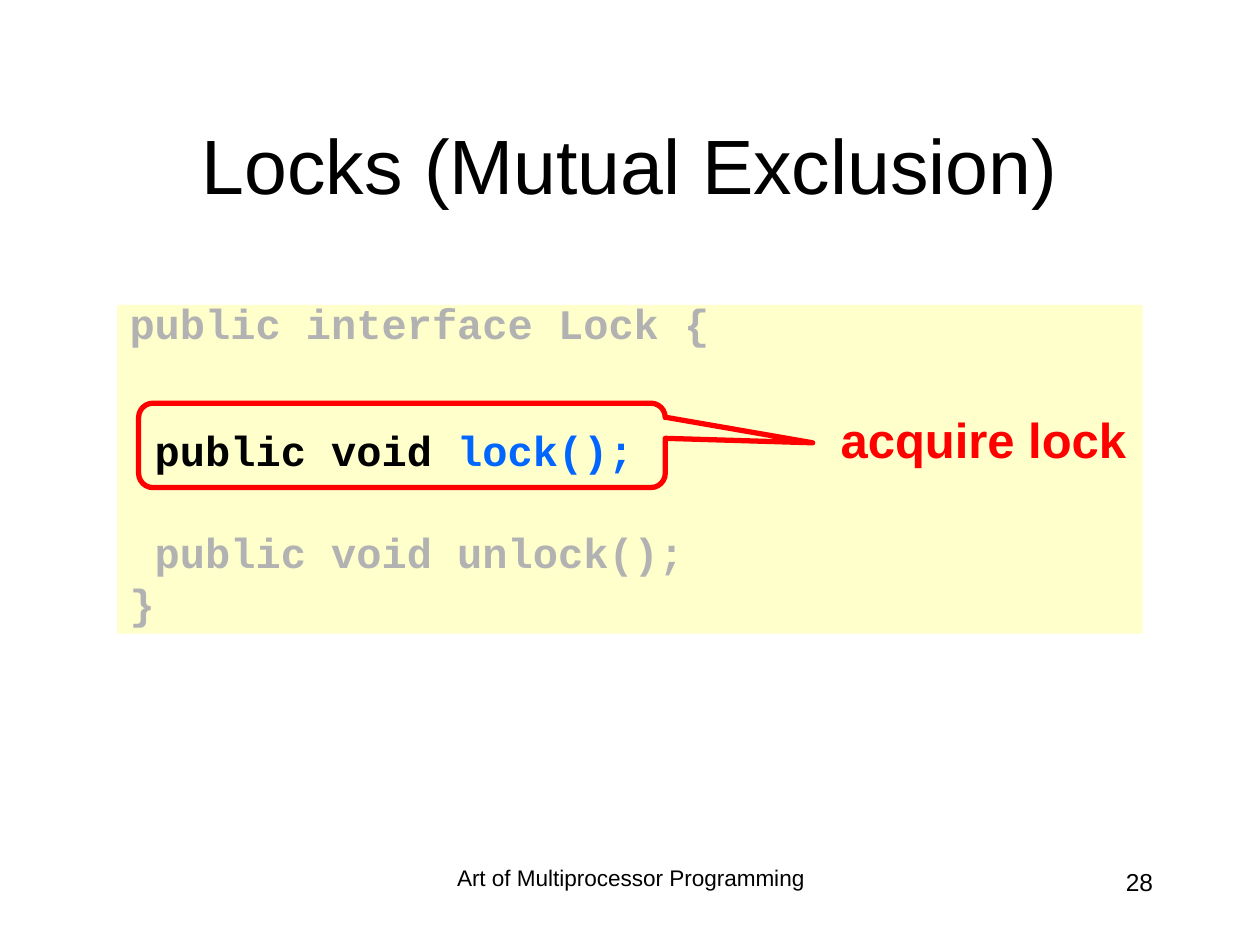
"""Build the slide on mutual exclusion locks with its highlighted interface."""
from dataclasses import dataclass

import pptx
import pptx.dml.color
import pptx.enum.shapes
import pptx.enum.text
import pptx.util

Inches = pptx.util.Inches
Pt = pptx.util.Pt
RGBColor = pptx.dml.color.RGBColor
Align = pptx.enum.text.PP_ALIGN
Anchor = pptx.enum.text.MSO_ANCHOR
Shape = pptx.enum.shapes.MSO_SHAPE

BLACK = RGBColor(0x00, 0x00, 0x00)
GRAY = RGBColor(0xB2, 0xB2, 0xB2)
BLUE = RGBColor(0x00, 0x66, 0xFF)
RED = RGBColor(0xFF, 0x00, 0x00)
CREAM = RGBColor(0xFF, 0xFF, 0xCC)


@dataclass(frozen=True)
class Label:
    text: str
    box: tuple[float, float, float, float]
    size: float
    align: Align = Align.CENTER
    color: RGBColor = BLACK
    bold: bool = False
    anchor: Anchor = Anchor.TOP
    line_spacing: float = 1.0


@dataclass(frozen=True)
class CodeLine:
    tokens: tuple[tuple[str, RGBColor], ...]
    space_before: float


LABELS = (
    Label("Art of Multiprocessor Programming", (3.42, 6.83, 3.17, 0.5), 12.9,
          line_spacing=0.9),
    Label("28", (7.17, 6.83, 2.08, 0.5), 14, Align.RIGHT),
    Label("Locks (Mutual Exclusion)", (0.75, 0.67, 8.5, 1.25), 44,
          anchor=Anchor.MIDDLE),
    Label("acquire lock", (6.47, 3.2, 2.67, 0.57), 28, color=RED, bold=True),
)
CODE = (
    CodeLine((("public interface Lock {", GRAY),), 0),
    CodeLine(((" public void ", BLACK), ("lock();", BLUE)), 52.6),
    CodeLine(((" public void unlock();", GRAY),), 38.1),
    CodeLine((("}", GRAY),), 9),
)


def style(font, name: str, size: float, color: RGBColor, bold: bool) -> None:
    font.name = name
    font.size = Pt(size)
    font.color.rgb = color
    font.bold = bold


def add_label(slide, label: Label) -> None:
    frame = slide.shapes.add_textbox(*map(Inches, label.box)).text_frame
    frame.word_wrap = True
    frame.vertical_anchor = label.anchor
    frame.text = label.text
    paragraph = frame.paragraphs[0]
    paragraph.alignment = label.align
    paragraph.line_spacing = label.line_spacing
    style(paragraph.runs[0].font, "Arial", label.size, label.color, label.bold)


def add_code(slide, lines: tuple[CodeLine, ...]) -> None:
    panel = slide.shapes.add_shape(
        Shape.RECTANGLE, Inches(0.93), Inches(2.42), Inches(8.14), Inches(2.61))
    panel.shadow.inherit = False
    panel.fill.solid()
    panel.fill.fore_color.rgb = CREAM
    panel.line.fill.background()
    frame = panel.text_frame
    frame.word_wrap = True
    frame.vertical_anchor = Anchor.TOP
    for index, line in enumerate(lines):
        paragraph = frame.add_paragraph() if index else frame.paragraphs[0]
        paragraph.alignment = Align.LEFT
        paragraph.line_spacing = 0.7
        paragraph.space_before = Pt(line.space_before)
        for text, color in line.tokens:
            run = paragraph.add_run()
            run.text = text
            style(run.font, "Courier New", 24, color, True)


def add_callout(slide) -> None:
    callout = slide.shapes.add_shape(
        Shape.ROUNDED_RECTANGULAR_CALLOUT,
        Inches(1.1), Inches(3.2), Inches(4.18), Inches(0.67))
    callout.shadow.inherit = False
    callout.fill.background()
    callout.line.color.rgb = RED
    callout.line.width = Pt(3)
    for index, ratio in enumerate((0.78, -0.03, 0.17)):
        callout.adjustments[index] = ratio


def main() -> None:
    deck = pptx.Presentation()
    deck.slide_width = Inches(10)
    deck.slide_height = Inches(7.5)
    slide = deck.slides.add_slide(deck.slide_layouts[6])
    add_code(slide, CODE)
    add_callout(slide)
    for label in LABELS:
        add_label(slide, label)
    deck.save("out.pptx")


if __name__ == "__main__":
    main()
